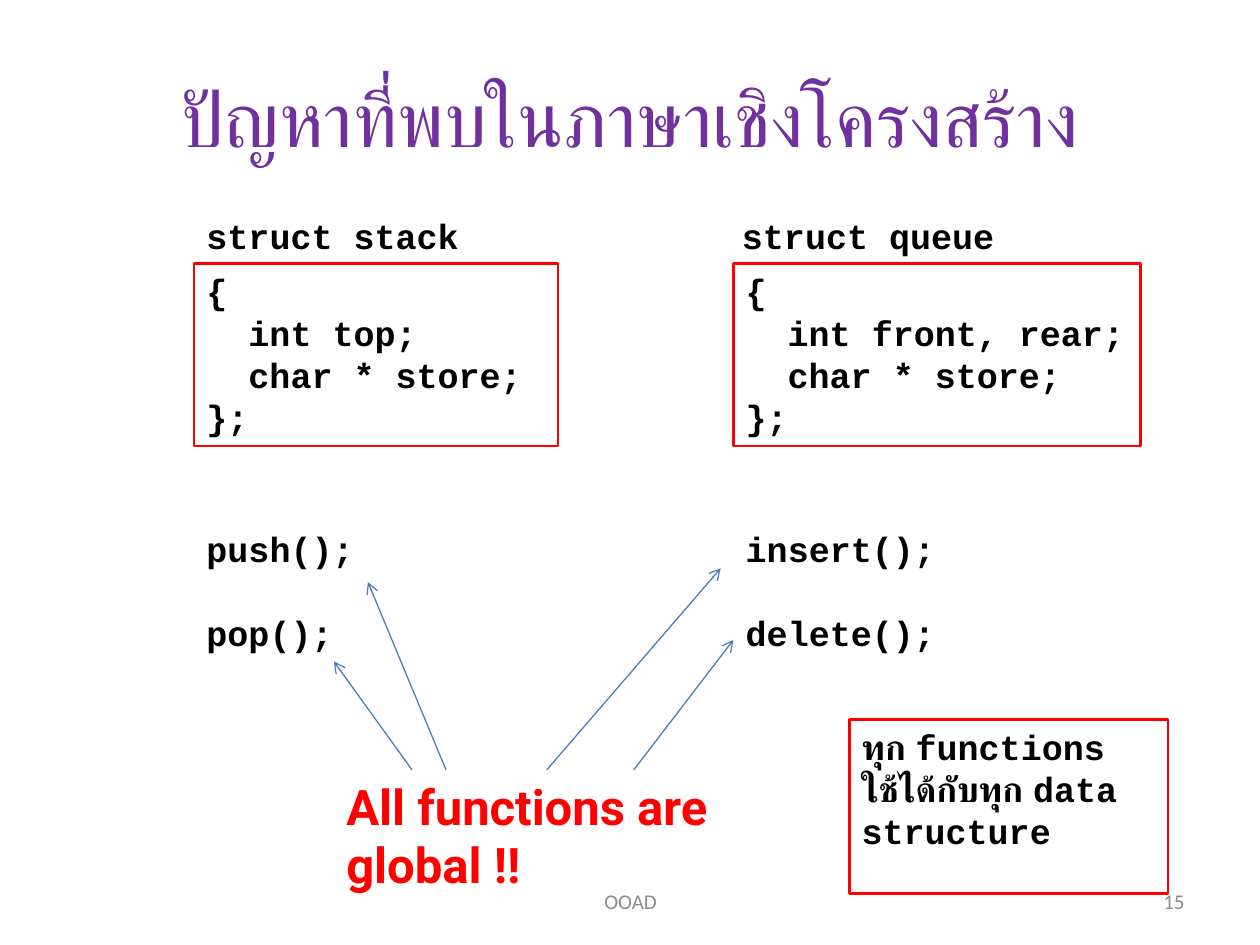
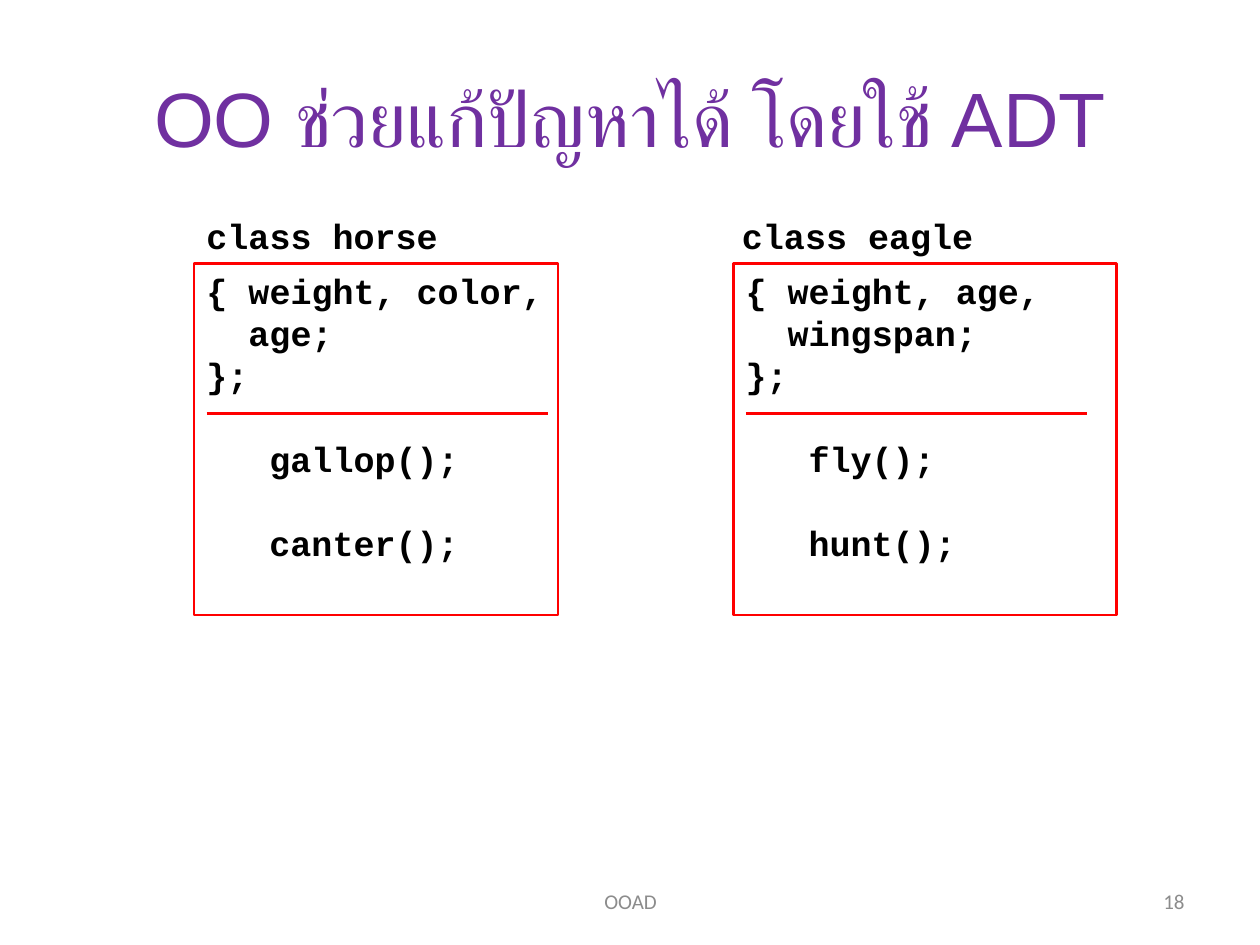
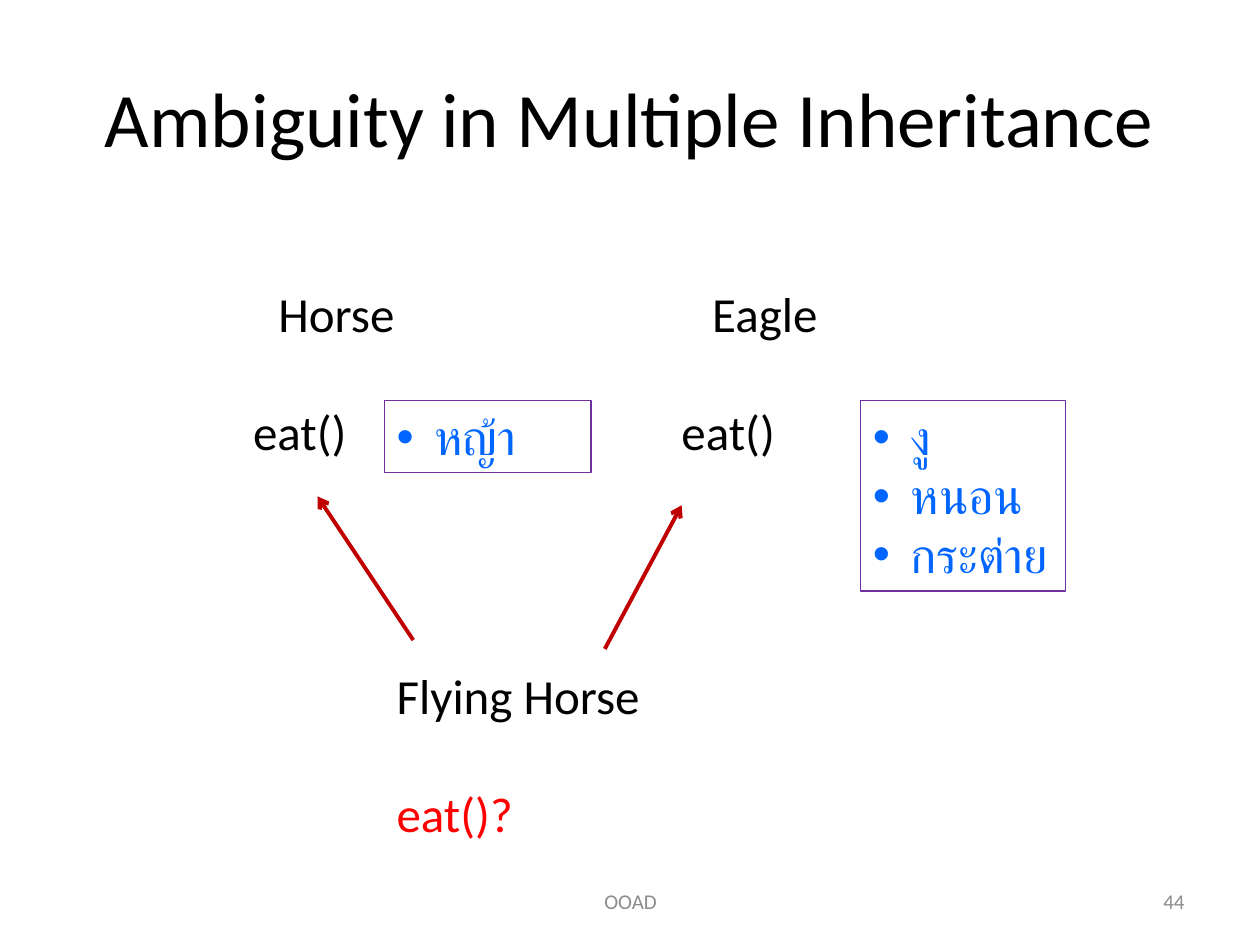
from dataclasses import dataclass

from lxml.etree import SubElement
from pptx import Presentation
from pptx.dml.color import RGBColor
from pptx.enum.shapes import MSO_CONNECTOR, MSO_SHAPE
from pptx.enum.text import MSO_ANCHOR, PP_ALIGN
from pptx.oxml.ns import qn
from pptx.util import Inches, Pt

BLACK, RED, PURPLE = "000000", "FF0000", "7030A0"
GREY, BLUE, DARK_RED, FOOD_BLUE = "8C8C8C", "4B7EBC", "C00000", "0066FF"

CODE = dict(font="Courier New", size=20, bold=True, pitch=24)
BODY = dict(font="Calibri", size=28)
FOOTER = dict(font="Calibri", size=12, color=GREY, anchor=MSO_ANCHOR.MIDDLE)
CHAR_WIDTH = 12  # points per code character at 20 pt
CODE_GAP, BODY_GAP = 24, 34  # one empty line, in points


@dataclass
class Line:
    text: str
    indent: int = 0  # code characters
    before: int = 0  # points
    align: PP_ALIGN = PP_ALIGN.LEFT
    color: str = ""


HEADING_Y, STRUCT_Y, FUNCTION_Y = 1.65, 2.09, 4.14

# heading x, heading width, box x, box width, fields, functions, functions width
STRUCTS = [
    ("struct stack", 1.54, 2.22, 1.54, 2.89,
     ["{", Line("int top;", 2), Line("char * store;", 2), "};"],
     ["push();", Line("pop();", before=CODE_GAP)], 1.38),
    ("struct queue", 5.79, 2.22, 5.82, 3.23,
     ["{", Line("int front, rear;", 2), Line("char * store;", 2), "};"],
     ["insert();", Line("delete();", before=CODE_GAP)], 1.72),
]
CALL_ARROWS = [((3.27, 6.11), (2.65, 5.25)), ((3.54, 6.11), (2.92, 4.62)),
               ((4.34, 6.11), (5.72, 4.51)), ((5.03, 6.11), (5.82, 5.08))]
ANY_STRUCTURE = ["ทุก functions", "ใช้ได้กับทุก data", "structure"]

CLASSES = [
    ("class horse", 1.54, 1.54, 2.89,
     ["{ weight, color,", Line("age;", 2), "};"], ["gallop();", "canter();"]),
    ("class eagle", 5.79, 5.82, 3.04,
     ["{ weight, age,", Line("wingspan;", 2), "};"], ["fly();", "hunt();"]),
]
DIVIDER_Y, DIVIDER_WIDTH = 3.28, 2.71

PARENTS = [("Horse", 1.91), ("Eagle", 5.31)]
FOODS = [((3.05, 3.18, 1.64, 0.57), ["หญ้า"]),
         ((6.83, 3.18, 1.63, 1.51), ["งู", "หนอน", "กระต่าย"])]
INHERITANCE = [((3.28, 5.08), (2.52, 3.94)), ((4.8, 5.15), (5.41, 4.01))]


def rgb(value):
    return RGBColor.from_string(value)


def add_text(slide, lines, box, font="Calibri", size=28, color=BLACK, bold=False,
             align=None, anchor=MSO_ANCHOR.TOP, pitch=None, bullet=None,
             outline=None, weight=1.5):
    """Put lines (strings or Line) in a text box, or in a rectangle if outlined."""
    place = [Inches(length) for length in box]
    if outline:
        shape = slide.shapes.add_shape(MSO_SHAPE.RECTANGLE, *place)
        shape.shadow.inherit = False
        shape.fill.background()
        shape.line.color.rgb = rgb(outline)
        shape.line.width = Pt(weight)
    else:
        shape = slide.shapes.add_textbox(*place)
    frame = shape.text_frame
    frame.word_wrap = True
    frame.vertical_anchor = anchor
    for number, line in enumerate(lines):
        if isinstance(line, str):
            line = Line(line)
        paragraph = frame.add_paragraph() if number else frame.paragraphs[0]
        paragraph.alignment = align or line.align
        paragraph.space_before = Pt(line.before)
        if pitch:
            paragraph.line_spacing = Pt(pitch)
        properties = paragraph._p.get_or_add_pPr()
        if line.indent:
            properties.set("marL", str(Pt(line.indent * CHAR_WIDTH)))
        if bullet:
            properties.set("marL", str(Inches(0.3)))
            properties.set("indent", str(-Inches(0.3)))
            SubElement(properties, qn("a:buFont"), typeface="Arial")
            SubElement(properties, qn("a:buChar"), char=bullet)
        run = paragraph.add_run()
        run.text = line.text
        run.font.name = font
        run.font.size = Pt(size)
        run.font.bold = bold
        run.font.color.rgb = rgb(line.color or color)


def add_line(slide, start, end, color, weight, arrow=False):
    line = slide.shapes.add_connector(
        MSO_CONNECTOR.STRAIGHT, *[Inches(value) for value in (*start, *end)])
    line.line.color.rgb = rgb(color)
    line.line.width = Pt(weight)
    if arrow:
        SubElement(line.line._get_or_add_ln(), qn("a:tailEnd"), type="arrow")
    SubElement(line._element.spPr, qn("a:effectLst"))


def add_slide(deck, title, number, font="Arial", color=PURPLE):
    """Add a blank slide with the shared title and footer."""
    slide = deck.slides.add_slide(deck.slide_layouts[6])
    add_text(slide, [title], (0.5, 0.3, 9, 1.25), font=font, size=44, color=color,
             align=PP_ALIGN.CENTER, anchor=MSO_ANCHOR.MIDDLE)
    add_text(slide, ["OOAD"], (3.42, 6.95, 3.17, 0.4), align=PP_ALIGN.CENTER, **FOOTER)
    add_text(slide, [str(number)], (7.17, 6.95, 2.33, 0.4), align=PP_ALIGN.RIGHT, **FOOTER)
    return slide


def build_structs(deck):
    slide = add_slide(deck, "ปัญหาที่พบในภาษาเชิงโครงสร้าง", 15)
    for heading, heading_x, heading_w, x, width, fields, functions, functions_w in STRUCTS:
        add_text(slide, [heading], (heading_x, HEADING_Y, heading_w, 0.44), **CODE)
        add_text(slide, fields, (x, STRUCT_Y, width, 1.45), outline=RED, **CODE)
        add_text(slide, functions, (x, FUNCTION_Y, functions_w, 1.11), **CODE)
    add_text(slide, ["All functions are global !!"], (2.65, 6.11, 3.38, 0.57),
             font="Roboto", color=RED, bold=True)
    for start, end in CALL_ARROWS:
        add_line(slide, start, end, BLUE, 0.75, arrow=True)
    add_text(slide, ANY_STRUCTURE, (6.74, 5.71, 2.53, 1.38), outline=RED, **CODE)


def build_classes(deck):
    slide = add_slide(deck, "OO ช่วยแก้ปัญหาได้ โดยใช้ ADT", 18)
    for heading, heading_x, x, width, fields, methods in CLASSES:
        add_text(slide, [heading], (heading_x, HEADING_Y, 2.05, 0.44), **CODE)
        members = fields + [Line(method, 3, CODE_GAP) for method in methods]
        add_text(slide, members, (x, STRUCT_Y, width, 2.79), outline=RED, **CODE)
        divider_x = x + 0.1
        add_line(slide, (divider_x, DIVIDER_Y),
                 (divider_x + DIVIDER_WIDTH, DIVIDER_Y), RED, 1.5)


def build_inheritance(deck):
    slide = add_slide(deck, "Ambiguity in Multiple Inheritance", 44,
                      font="Calibri", color=BLACK)
    for parent, x in PARENTS:
        add_text(slide, [Line(parent, align=PP_ALIGN.CENTER),
                         Line("eat()", before=BODY_GAP)], (x, 2.2, 1.52, 1.51), **BODY)
    add_text(slide, ["Flying Horse", Line("eat()?", before=BODY_GAP, color=RED)],
             (3.05, 5.23, 2.76, 1.99), **BODY)
    for start, end in INHERITANCE:
        add_line(slide, start, end, DARK_RED, 2.25, arrow=True)
    for box, foods in FOODS:
        add_text(slide, foods, box, color=FOOD_BLUE, bullet="•",
                 outline=PURPLE, weight=0.75, **BODY)


def main():
    deck = Presentation()
    deck.slide_width, deck.slide_height = Inches(10), Inches(7.5)
    build_structs(deck)
    build_classes(deck)
    build_inheritance(deck)
    deck.save("out.pptx")


if __name__ == "__main__":
    main()
